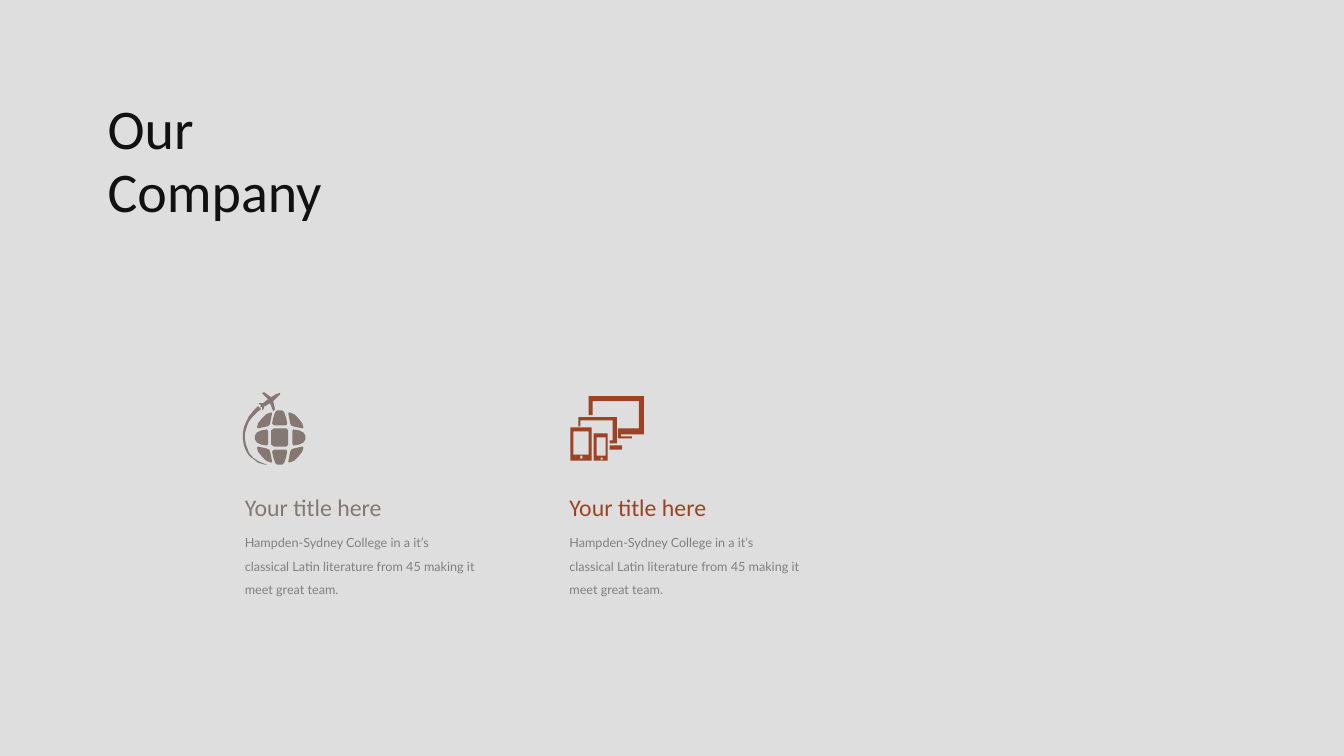
from pptx import Presentation
from pptx.dml.color import RGBColor
from pptx.enum.text import MSO_ANCHOR, MSO_AUTO_SIZE, PP_ALIGN
from pptx.util import Cm, Pt

COLORS = {
    "background": "DDDEDD",
    "heading": "111111",
    "body": "808080",
    "globe": "857873",
    "devices": "9E4225",
}
ICON_UNIT = Cm(2.54) / 100  # icon outlines are in hundredths of an inch


def write_text(shape, lines, font_name, size, color, spacing=None):
    """Fill a text shape with one left-aligned paragraph per line."""
    frame = shape.text_frame
    frame.word_wrap = True
    frame.auto_size = MSO_AUTO_SIZE.SHAPE_TO_FIT_TEXT
    frame.vertical_anchor = MSO_ANCHOR.TOP
    frame.text = "\n".join(lines)
    for paragraph in frame.paragraphs:
        paragraph.alignment = PP_ALIGN.LEFT
        paragraph.space_before = Pt(0)
        if spacing:
            paragraph.line_spacing = Pt(spacing)
        paragraph.font.name = font_name
        paragraph.font.size = Pt(size)
        paragraph.font.color.rgb = RGBColor.from_string(COLORS[color])


def add_icon(outlines, color):
    """Draw closed outlines as one freeform; nested outlines become holes."""
    builder = slide.shapes.build_freeform(*outlines[0][0], scale=ICON_UNIT)
    for index, outline in enumerate(outlines):
        if index:
            builder.move_to(*outline[0])
        builder.add_line_segments(outline[1:], close=True)
    shape = builder.convert_to_shape()
    shape.shadow.inherit = False
    shape.fill.solid()
    shape.fill.fore_color.rgb = RGBColor.from_string(COLORS[color])
    shape.line.fill.background()


presentation = Presentation()
presentation.slide_width = Cm(33.87)
presentation.slide_height = Cm(19.05)
slide = presentation.slides.add_slide(presentation.slide_layouts[5])
slide.background.fill.solid()
slide.background.fill.fore_color.rgb = RGBColor.from_string(COLORS["background"])

title = slide.shapes.title
title.left, title.top, title.width, title.height = Cm(2.46), Cm(2.34), Cm(11.13), Cm(3.45)
write_text(title, ["Our", "Company"], "Calibri", 40, "heading", 45)

# Two columns of heading and description
for column, color in enumerate(["globe", "devices"]):
    left = Cm(5.92 + 8.18 * column)
    heading = slide.shapes.add_textbox(left, Cm(12.29), Cm(6.6), Cm(0.99))
    write_text(heading, ["Your title here"], "Calibri", 17, color)
    description = slide.shapes.add_textbox(left, Cm(13.13), Cm(6.6), Cm(1.98))
    write_text(
        description,
        ["Hampden-Sydney College in a it’s",
         "classical Latin literature from 45 making it meet great team."],
        "Lato", 9, "body", 17,
    )

# Globe: tiles mirrored about its centre lines, then the plane and its trail
MIRROR_X, MIRROR_Y = 556, 868
corner_tile = [(265, 423), (256, 425), (255, 424), (256, 420), (260, 415), (264, 411),
               (269, 409), (270, 410), (268, 420), (267, 422)]
side_tile = [(265, 426), (259, 427), (255, 429), (253, 432), (253, 436), (255, 439),
             (259, 441), (265, 442), (266, 440), (266, 428)]
top_tile = [(273, 409), (271, 415), (270, 420), (272, 422), (284, 422), (285, 420),
            (284, 415), (282, 409), (280, 407), (275, 407)]
centre_tile = [(272, 425), (284, 425), (286, 427), (286, 441), (284, 443), (272, 443),
               (269, 441), (269, 427)]
plane = [(260, 402), (259, 402), (258, 404), (260, 404), (260, 407), (262, 405), (262, 403),
         (263, 403), (268, 400), (271, 408), (272, 407), (273, 406), (271, 398), (276, 393),
         (278, 391), (278, 390), (277, 390), (274, 391), (269, 394), (262, 389), (260, 390),
         (266, 396), (261, 400), (257, 400), (257, 401)]
trail = [(265, 461), (257, 458), (251, 454), (247, 449), (244, 441), (243, 435), (243, 430),
         (245, 423), (247, 418), (251, 413), (255, 409), (259, 406), (256, 403), (251, 408),
         (247, 413), (244, 419), (242, 424), (241, 430), (241, 436), (242, 442), (245, 449),
         (248, 453), (251, 455), (256, 459), (263, 461)]
left_tiles = [corner_tile, [(x, MIRROR_Y - y) for x, y in corner_tile], side_tile]
right_tiles = [[(MIRROR_X - x, y) for x, y in tile] for tile in left_tiles]
bottom_tile = [(x, MIRROR_Y - y) for x, y in top_tile]
add_icon(left_tiles + right_tiles + [top_tile, bottom_tile, centre_tile, plane, trail], "globe")

# Devices: rectangles as left, top, right, bottom; screens and buttons are holes
device_boxes = [
    (566, 424, 587, 457), (569, 428, 584, 451), (576, 452, 578, 455),  # tablet
    (589, 430, 603, 457), (592, 434, 601, 452), (596, 454, 598, 456),  # phone
    (605, 442, 617, 446),  # laptop stand
]
monitor = [(639, 431), (639, 393), (584, 393), (584, 412), (588, 412), (588, 398), (634, 398),
           (634, 425), (613, 425), (613, 435), (627, 435), (627, 433), (616, 433), (616, 431)]
laptop = [(605, 437), (605, 440), (612, 440), (612, 414), (574, 414), (574, 423), (576, 423),
          (576, 417), (608, 417), (608, 437)]
rectangles = [[(left, top), (right, top), (right, bottom), (left, bottom)]
              for left, top, right, bottom in device_boxes]
add_icon([monitor, laptop] + rectangles, "devices")

presentation.save("out.pptx")
